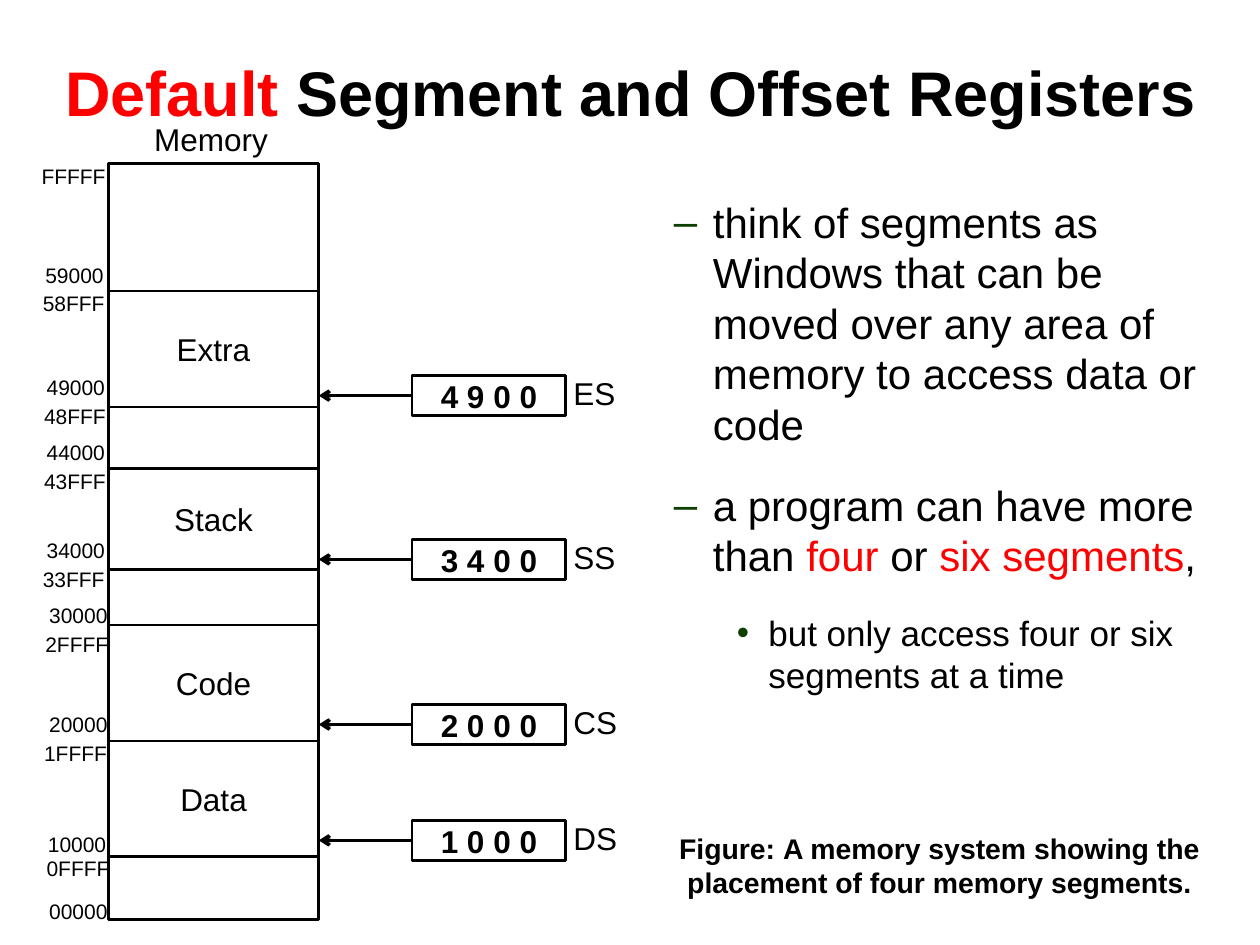
from typing import NamedTuple

from lxml.etree import SubElement
from pptx import Presentation
from pptx.dml.color import RGBColor
from pptx.enum.shapes import MSO_CONNECTOR, MSO_SHAPE
from pptx.enum.text import MSO_ANCHOR, MSO_AUTO_SIZE, PP_ALIGN
from pptx.oxml.ns import qn
from pptx.util import Inches, Pt

BLACK = RGBColor(0x00, 0x00, 0x00)
WHITE = RGBColor(0xFF, 0xFF, 0xFF)
RED = RGBColor(0xFF, 0x00, 0x00)
GREEN = RGBColor(0x0D, 0x40, 0x00)
FONT = "Arial"
MEMORY_LEFT, MEMORY_WIDTH = 0.86, 1.67
REGISTER_LEFT = 3.27


class Run(NamedTuple):
    text: str
    color: RGBColor = BLACK


class Bullet(NamedTuple):
    mark: str
    margin: float
    hang: float
    size: float
    runs: list[Run]


class Segment(NamedTuple):
    name: str
    top: float
    height: float


class Address(NamedTuple):
    text: str
    left: float
    top: float


class Register(NamedTuple):
    name: str
    value: str
    middle: float


BULLETS = [
    Bullet("–", 0.81, 0.31, 24, [
        Run("think of segments as Windows that can be moved over any area of "
            "memory to access data or code")]),
    Bullet("–", 0.81, 0.31, 24, [
        Run("a program can have more than "), Run("four", RED), Run(" or "),
        Run("six segments", RED), Run(",")]),
    Bullet("•", 1.25, 0.25, 20, [
        Run("but only access four or six segments at a time")]),
]
SEGMENTS = [
    Segment("Extra", 2.31, 0.92),
    Segment("Stack", 3.72, 0.8),
    Segment("Code", 4.96, 0.92),
    Segment("Data", 5.88, 0.92),
]
ADDRESSES = [
    Address("FFFFF", 0.33, 1.3),
    Address("59000", 0.36, 2.08),
    Address("58FFF", 0.34, 2.31),
    Address("49000", 0.37, 2.97),
    Address("48FFF", 0.35, 3.2),
    Address("44000", 0.37, 3.49),
    Address("43FFF", 0.35, 3.72),
    Address("34000", 0.37, 4.27),
    Address("33FFF", 0.34, 4.5),
    Address("30000", 0.39, 4.78),
    Address("2FFFF", 0.36, 5.01),
    Address("20000", 0.39, 5.65),
    Address("1FFFF", 0.35, 5.88),
    Address("10000", 0.38, 6.6),
    Address("0FFFF", 0.37, 6.79),
    Address("00000", 0.39, 7.13),
]
REGISTERS = [
    Register("ES", "4 9 0 0", 3.14),
    Register("SS", "3 4 0 0", 4.44),
    Register("CS", "2 0 0 0", 5.75),
    Register("DS", "1 0 0 0", 6.67),
]


def add_runs(p, runs: list[Run], size: float, bold: bool = False) -> None:
    for run in runs:
        r = p.add_run()
        r.text = run.text
        r.font.name = FONT
        r.font.size = Pt(size)
        r.font.bold = bold
        r.font.color.rgb = run.color


def set_insets(tf, left: float, top: float, right: float, bottom: float) -> None:
    tf.margin_left, tf.margin_top = Inches(left), Inches(top)
    tf.margin_right, tf.margin_bottom = Inches(right), Inches(bottom)


def add_title(s) -> None:
    sp = s.shapes.title
    sp.left, sp.top = Inches(0.2), Inches(0.1)
    sp.width, sp.height = Inches(9.75), Inches(1.25)
    tf = sp.text_frame
    tf.auto_size = MSO_AUTO_SIZE.NONE
    tf.vertical_anchor = MSO_ANCHOR.MIDDLE
    p = tf.paragraphs[0]
    p.alignment = PP_ALIGN.CENTER
    add_runs(p, [Run("Default", RED), Run(" Segment and Offset Registers ")], 36, True)


def add_text(s, text: str, left: float, top: float, width: float, height: float,
             size: float, bold: bool = False, wrap: bool = False,
             align: PP_ALIGN = PP_ALIGN.LEFT):
    sp = s.shapes.add_textbox(Inches(left), Inches(top), Inches(width), Inches(height))
    tf = sp.text_frame
    tf.word_wrap = wrap
    p = tf.paragraphs[0]
    p.alignment = align
    add_runs(p, [Run(text)], size, bold)
    return sp


def add_label(s, text: str, left: float, top: float, width: float, height: float,
              size: float) -> None:
    sp = add_text(s, text, left, top, width, height, size)
    tf = sp.text_frame
    tf.auto_size = MSO_AUTO_SIZE.SHAPE_TO_FIT_TEXT
    set_insets(tf, 0, 0, 0.04, 0)


def add_address(s, address: Address) -> None:
    width = 0.56 if address.text.endswith("F") else 0.52
    add_label(s, address.text, address.left, address.top, width, 0.2, 12)


def add_box(s, text: str, left: float, top: float, width: float, height: float,
            bold: bool = False, filled: bool = True):
    sp = s.shapes.add_shape(MSO_SHAPE.RECTANGLE, Inches(left), Inches(top),
                            Inches(width), Inches(height))
    sp.shadow.inherit = False
    if filled:
        sp.fill.solid()
        sp.fill.fore_color.rgb = WHITE
    else:
        sp.fill.background()
    sp.line.color.rgb = BLACK
    sp.line.width = Pt(1.5)
    if text:
        tf = sp.text_frame
        set_insets(tf, 0, 0, 0, 0)
        tf.vertical_anchor = MSO_ANCHOR.MIDDLE
        p = tf.paragraphs[0]
        p.alignment = PP_ALIGN.CENTER
        add_runs(p, [Run(text)], 18, bold)
    return sp


def add_register(s, register: Register) -> None:
    y = register.middle
    box = add_box(s, register.value, REGISTER_LEFT, y - 0.16, 1.22, 0.32, bold=True)
    add_label(s, register.name, 4.55, y - 0.17, 0.39, 0.3, 18)
    arrow = s.shapes.add_connector(MSO_CONNECTOR.STRAIGHT, Inches(REGISTER_LEFT), Inches(y),
                                   Inches(MEMORY_LEFT + MEMORY_WIDTH), Inches(y))
    arrow.begin_connect(box, 1)
    arrow.line.color.rgb = BLACK
    arrow.line.width = Pt(2)
    SubElement(arrow.line._get_or_add_ln(), qn("a:tailEnd"), type="arrow")
    SubElement(arrow._element.spPr, qn("a:effectLst"))


def add_bullets(s, bullets: list[Bullet]) -> None:
    sp = s.shapes.add_textbox(Inches(4.75), Inches(1.51), Inches(5), Inches(5.24))
    tf = sp.text_frame
    tf.word_wrap = True
    for i, bullet in enumerate(bullets):
        p = tf.add_paragraph() if i else tf.paragraphs[0]
        pPr = p._p.get_or_add_pPr()
        pPr.set("marL", str(Inches(bullet.margin)))
        pPr.set("indent", str(-Inches(bullet.hang)))
        color = SubElement(pPr, qn("a:buClr"))
        SubElement(color, qn("a:srgbClr"), val=str(GREEN))
        SubElement(pPr, qn("a:buFont"), typeface=FONT)
        SubElement(pPr, qn("a:buChar"), char=bullet.mark)
        if i:
            p.space_before = Pt(17.8)
        add_runs(p, bullet.runs, bullet.size)


def main() -> None:
    prs = Presentation()
    prs.slide_width, prs.slide_height = Inches(10), Inches(7.5)
    s = prs.slides.add_slide(prs.slide_layouts[5])
    add_title(s)
    add_bullets(s, BULLETS)
    add_text(s, "Figure:\u00a0A memory system showing the placement of four memory segments.",
             5.08, 6.55, 4.75, 0.83, 16.2, bold=True, wrap=True, align=PP_ALIGN.CENTER)
    add_text(s, "Memory", 1.12, 0.9, 1.11, 0.4, 18, align=PP_ALIGN.CENTER)
    for segment in SEGMENTS:
        add_box(s, segment.name, MEMORY_LEFT, segment.top, MEMORY_WIDTH, segment.height)
    add_box(s, "", MEMORY_LEFT, 1.3, MEMORY_WIDTH, 6, filled=False)
    for address in ADDRESSES:
        add_address(s, address)
    for register in REGISTERS:
        add_register(s, register)
    prs.save("out.pptx")


if __name__ == "__main__":
    main()
